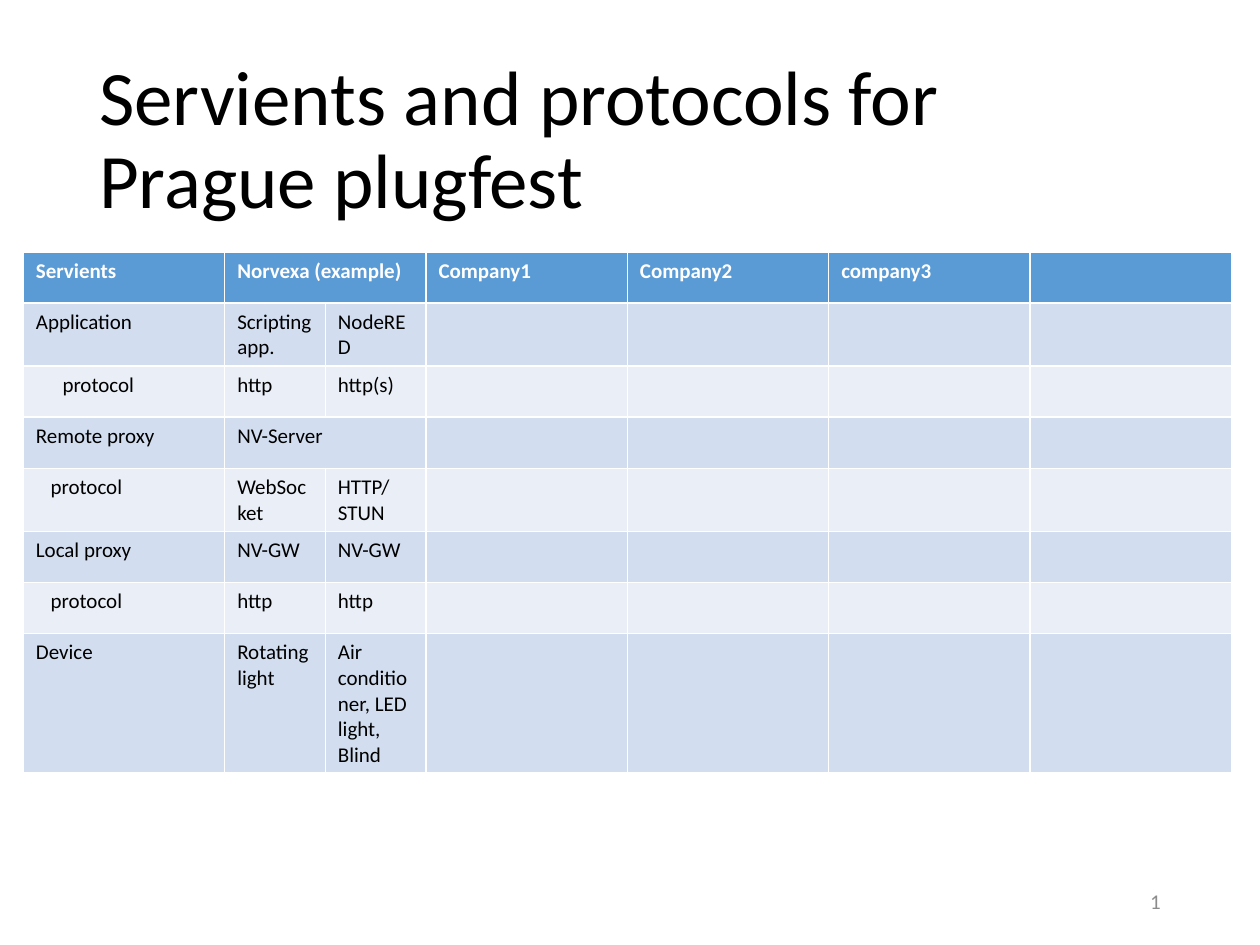
"""Build a slide listing servients and protocols for a plugfest."""
from dataclasses import dataclass

import lxml.etree
import pptx
import pptx.dml.color
import pptx.enum.text
import pptx.oxml.ns
import pptx.util

Cm = pptx.util.Cm


@dataclass(frozen=True)
class Theme:
    font: str = "Calibri"
    title_size: int = 44
    body_size: int = 12
    text: str = "000000"
    header_text: str = "FFFFFF"
    number_text: str = "8C8C8C"
    header_fill: str = "5B9BD5"
    band_fills: tuple = ("D2DEEF", "EAEFF7")


THEME = Theme()
COLUMN_WIDTHS = [4.06, 2.03, 2.03] + [4.06] * 4
ROW_HEIGHTS = [1.03] * 7 + [2.8]
CELL_MARGIN = 0.25
PROTOCOL_INDENTS = {2: 0.54, 4: 0.3, 6: 0.3}
MERGED_ROWS = (0, 3)
ROWS = [
    ["Servients", "Norvexa (example)", "", "Company1", "Company2", "company3"],
    ["Application", "Scripting app.", "NodeRED"],
    ["protocol", "http", "http(s)"],
    ["Remote proxy", "NV-Server"],
    ["protocol", "WebSocket", "HTTP/STUN"],
    ["Local proxy", "NV-GW", "NV-GW"],
    ["protocol", "http", "http"],
    ["Device", "Rotating light", "Air conditioner, LED light, Blind"],
]


def style_paragraph(paragraph, size, color, bold=False):
    """Set the font of a whole paragraph."""
    font = paragraph.font
    font.name = THEME.font
    font.size = pptx.util.Pt(size)
    font.bold = bold
    font.color.rgb = pptx.dml.color.RGBColor.from_string(color)


def add_text_box(slide, left, top, width, height):
    """Add a wrapping, vertically centred text box and return its paragraph."""
    shape = slide.shapes.add_textbox(Cm(left), Cm(top), Cm(width), Cm(height))
    frame = shape.text_frame
    frame.word_wrap = True
    frame.vertical_anchor = pptx.enum.text.MSO_ANCHOR.MIDDLE
    return frame.paragraphs[0]


def add_title(slide, text):
    """Add the slide title."""
    paragraph = add_text_box(slide, 1.75, 1.02, 21.9, 3.68)
    paragraph.text = text
    paragraph.line_spacing = 0.9
    style_paragraph(paragraph, THEME.title_size, THEME.text)


def add_slide_number(slide):
    """Add a right-aligned slide number field."""
    paragraph = add_text_box(slide, 17.93, 17.65, 5.72, 1.02)
    paragraph.alignment = pptx.enum.text.PP_ALIGN.RIGHT
    style_paragraph(paragraph, THEME.body_size, THEME.number_text)
    qualified = pptx.oxml.ns.qn
    field = lxml.etree.SubElement(
        paragraph._p, qualified("a:fld"), type="slidenum",
        id="{B6F15528-21DE-4FAA-801E-634DDDAF4B2B}")
    lxml.etree.SubElement(field, qualified("a:rPr"), lang="en-US")
    lxml.etree.SubElement(field, qualified("a:t")).text = "1"


def fill_cell(cell, text, row_index):
    """Write a cell in the header or band style of its row."""
    is_header = row_index == 0
    fill = THEME.header_fill if is_header else THEME.band_fills[(row_index - 1) % 2]
    cell.fill.solid()
    cell.fill.fore_color.rgb = pptx.dml.color.RGBColor.from_string(fill)
    cell.text = text
    color = THEME.header_text if is_header else THEME.text
    style_paragraph(cell.text_frame.paragraphs[0], THEME.body_size, color, is_header)


def add_servient_table(slide):
    """Add the table of servients with its merged cells and indents."""
    table = slide.shapes.add_table(
        len(ROWS), len(COLUMN_WIDTHS), Cm(0.47), Cm(5.08),
        Cm(sum(COLUMN_WIDTHS)), Cm(sum(ROW_HEIGHTS))).table
    for column, width in zip(table.columns, COLUMN_WIDTHS):
        column.width = Cm(width)
    for row, height in zip(table.rows, ROW_HEIGHTS):
        row.height = Cm(height)
    for row_index, texts in enumerate(ROWS):
        padding = [""] * (len(COLUMN_WIDTHS) - len(texts))
        for column_index, text in enumerate(texts + padding):
            fill_cell(table.cell(row_index, column_index), text, row_index)
    for row_index in MERGED_ROWS:
        table.cell(row_index, 1).merge(table.cell(row_index, 2))
    for row_index, indent in PROTOCOL_INDENTS.items():
        table.cell(row_index, 0).margin_left = Cm(CELL_MARGIN + indent)


def main():
    """Build and save the presentation."""
    presentation = pptx.Presentation()
    presentation.slide_width = Cm(25.4)
    presentation.slide_height = Cm(19.05)
    slide = presentation.slides.add_slide(presentation.slide_layouts[6])
    add_title(slide, "Servients and protocols for Prague plugfest")
    add_servient_table(slide)
    add_slide_number(slide)
    presentation.save("out.pptx")


if __name__ == "__main__":
    main()
